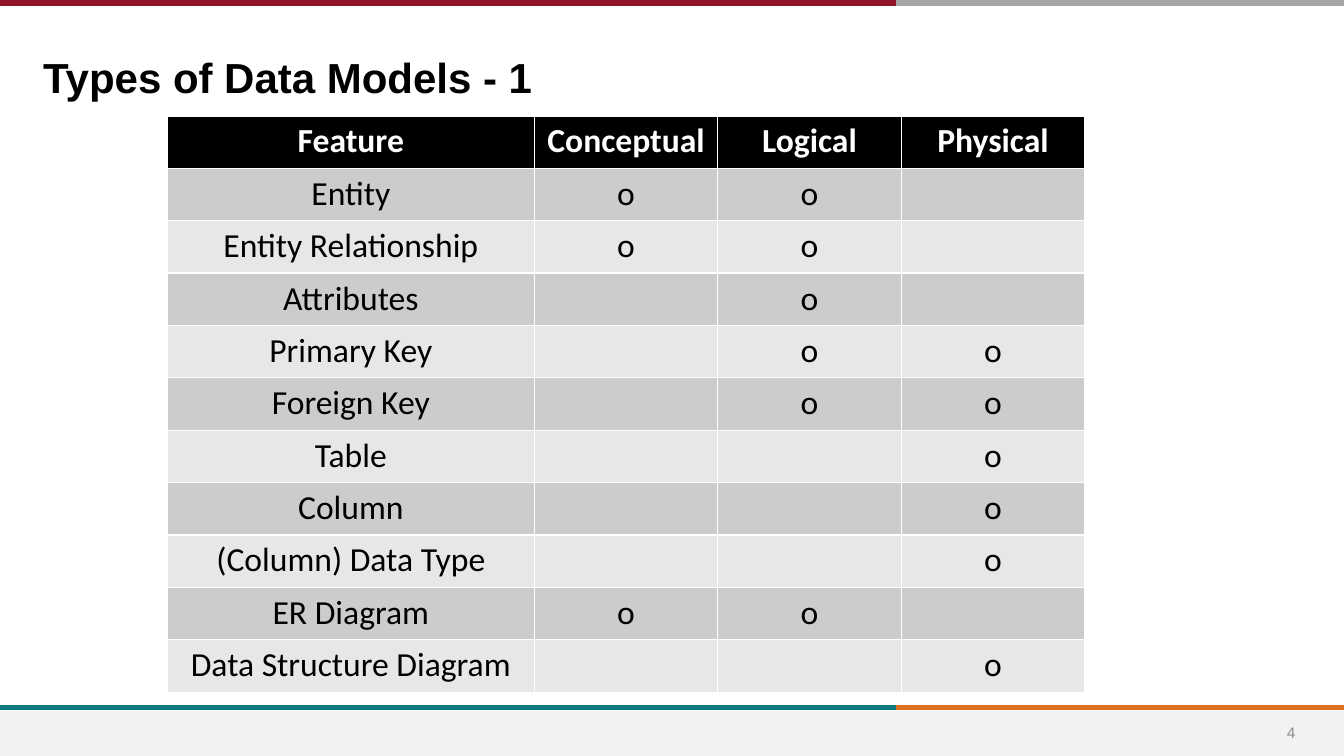
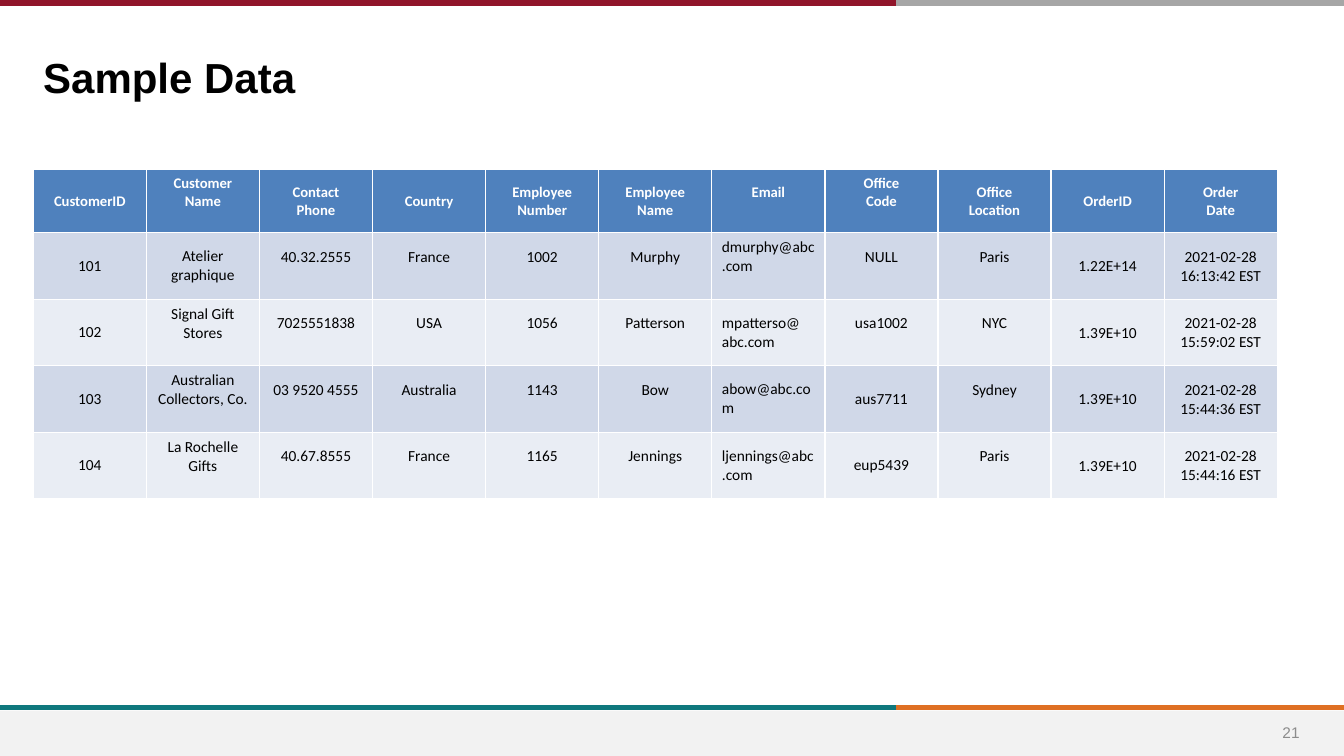
from lxml.etree import SubElement
from pptx import Presentation
from pptx.dml.color import RGBColor
from pptx.enum.shapes import MSO_CONNECTOR, MSO_SHAPE
from pptx.enum.text import MSO_ANCHOR, PP_ALIGN
from pptx.oxml.ns import qn
from pptx.util import Inches, Pt

BLACK = RGBColor(0x00, 0x00, 0x00)
WHITE = RGBColor(0xFF, 0xFF, 0xFF)
RED = RGBColor(0x90, 0x15, 0x2A)
GRAY = RGBColor(0xA6, 0xA6, 0xA6)
TEAL = RGBColor(0x0F, 0x78, 0x7D)
ORANGE = RGBColor(0xDF, 0x70, 0x23)
FOOT = RGBColor(0xF2, 0xF2, 0xF2)
PAGE = RGBColor(0x8C, 0x8C, 0x8C)
BLUE = RGBColor(0x4F, 0x81, 0xBD)
DARK = RGBColor(0xCC, 0xCC, 0xCC)
LIGHT = RGBColor(0xE7, 0xE7, 0xE7)
MIST = RGBColor(0xD0, 0xD8, 0xE8)
PALE = RGBColor(0xE9, 0xED, 0xF4)

deck = Presentation()
deck.slide_width, deck.slide_height = Inches(13.33), Inches(7.5)
WIDE, HIGH = deck.slide_width, deck.slide_height
SPLIT = WIDE * 2 // 3


def style(frame, align, face, size, color, bold):
    """Format every paragraph of a text frame."""
    looks = {"name": face, "size": Pt(size), "bold": bold}
    for para in frame.paragraphs:
        para.alignment = align
        for key, value in looks.items():
            setattr(para.font, key, value)
        para.font.color.rgb = color


def grid(slide, rows, left, top, widths, heights, fills, sizes):
    """Add a table with a header row and two alternating body fills."""
    frame = slide.shapes.add_table(
        len(rows), len(widths), Inches(left), Inches(top),
        Inches(sum(widths)), Inches(sum(heights)))
    table = frame.table
    for col, width in zip(table.columns, widths):
        col.width = Inches(width)
    for r, row in enumerate(rows):
        table.rows[r].height = Inches(heights[r])
        head = r == 0
        fill = fills[0] if head else fills[2 - r % 2]
        for c, text in enumerate(row):
            cell = table.cell(r, c)
            cell.text = text
            cell.fill.solid()
            cell.fill.fore_color.rgb = fill
            style(cell.text_frame, PP_ALIGN.CENTER, "Calibri",
                  sizes[0] if head else sizes[1],
                  WHITE if head else BLACK, head)
    return table


# Shared frame: coloured rules, footer band, page number, title
slides = []
for title, number in (("Types of Data Models - 1", "4"), ("Sample Data", "21")):
    slide = deck.slides.add_slide(deck.slide_layouts[6])
    slides.append(slide)
    for start, end, y, color in (
            (SPLIT, WIDE, 7.02, ORANGE), (0, SPLIT, 7.02, TEAL),
            (SPLIT, WIDE, 0.03, GRAY), (0, SPLIT, 0.03, RED)):
        rule = slide.shapes.add_connector(
            MSO_CONNECTOR.STRAIGHT, start, Inches(y), end, Inches(y))
        rule.line.color.rgb = color
        rule.line.width = Pt(4)
        SubElement(rule._element.spPr, qn("a:effectLst"))

    band = slide.shapes.add_shape(
        MSO_SHAPE.RECTANGLE, 0, HIGH * 94 // 100, WIDE, HIGH * 6 // 100)
    band.shadow.inherit = False
    band.fill.solid()
    band.fill.fore_color.rgb = FOOT
    band.line.fill.background()

    for text, box, anchor, align, size, color, bold in (
            (number, (12.46, 7.07, 0.69, 0.4), MSO_ANCHOR.MIDDLE,
             PP_ALIGN.CENTER, 11, PAGE, False),
            (title, (0.33, 0.46, 10.65, 0.59), MSO_ANCHOR.TOP,
             PP_ALIGN.LEFT, 30, BLACK, True)):
        frame = slide.shapes.add_textbox(*map(Inches, box)).text_frame
        frame.word_wrap = True
        frame.vertical_anchor = anchor
        frame.text = text
        style(frame, align, "Arial", size, color, bold)

# Slide 1: features by model type
models = ("Conceptual", "Logical", "Physical")
marks = {
    "Entity": "CL", "Entity Relationship": "CL", "Attributes": "L",
    "Primary Key": "LP", "Foreign Key": "LP", "Table": "P", "Column": "P",
    "(Column) Data Type": "P", "ER Diagram": "CL",
    "Data Structure Diagram": "P",
}
rows = [("Feature", *models)]
for name, has in marks.items():
    rows.append((name, *("o" if model[0] in has else "" for model in models)))
grid(slides[0], rows, 1.66, 1.15, [3.64] + [1.82] * 3, [0.52] * len(rows),
     (BLACK, DARK, LIGHT), (24, 24))

# Slide 2: sample orders
rows = [
    ("CustomerID", "Customer\nName", "Contact\nPhone", "Country",
     "Employee\nNumber", "Employee\nName", "Email", "Office\nCode",
     "Office\nLocation", "OrderID", "Order\nDate"),
    ("101", "Atelier graphique", "40.32.2555", "France", "1002", "Murphy",
     "dmurphy@abc.com", "NULL", "Paris", "1.22E+14",
     "2021-02-28 16:13:42 EST"),
    ("102", "Signal Gift Stores", "7025551838", "USA", "1056", "Patterson",
     "mpatterso@\nabc.com", "usa1002", "NYC", "1.39E+10",
     "2021-02-28 15:59:02 EST"),
    ("103", "Australian Collectors, Co.", "03 9520 4555", "Australia", "1143",
     "Bow", "abow@abc.com", "aus7711", "Sydney", "1.39E+10",
     "2021-02-28 15:44:36 EST"),
    ("104", "La Rochelle Gifts", "40.67.8555", "France", "1165", "Jennings",
     "ljennings@abc.com", "eup5439", "Paris", "1.39E+10",
     "2021-02-28 15:44:16 EST"),
]
table = grid(slides[1], rows, 0.33, 1.68, [12.34 / 11] * 11,
             [0.63] + [0.66] * 4, (BLUE, MIST, PALE), (10.5, 11))

# Columns in each row whose text sits half a line above the middle
raised = ((1, 6, 7), range(2, 9), (1, 2, 3, 4, 5, 7, 8),
          (1, 2, 3, 4, 5, 8), (1, 2, 3, 4, 5, 8))
EMAIL, ORDER = 6, 9
for r, lifted in enumerate(raised):
    for c in range(len(rows[0])):
        cell = table.cell(r, c)
        cell.vertical_anchor = MSO_ANCHOR.MIDDLE
        if c in lifted:
            cell.margin_bottom = Inches(0.23)
        if r and c == EMAIL:
            for para in cell.text_frame.paragraphs:
                para.alignment = PP_ALIGN.LEFT
        if r and c >= ORDER:
            cell.margin_left = cell.margin_right = Inches(0.01)
            cell.margin_top, cell.margin_bottom = Inches(0.01), 0

deck.save("out.pptx")
